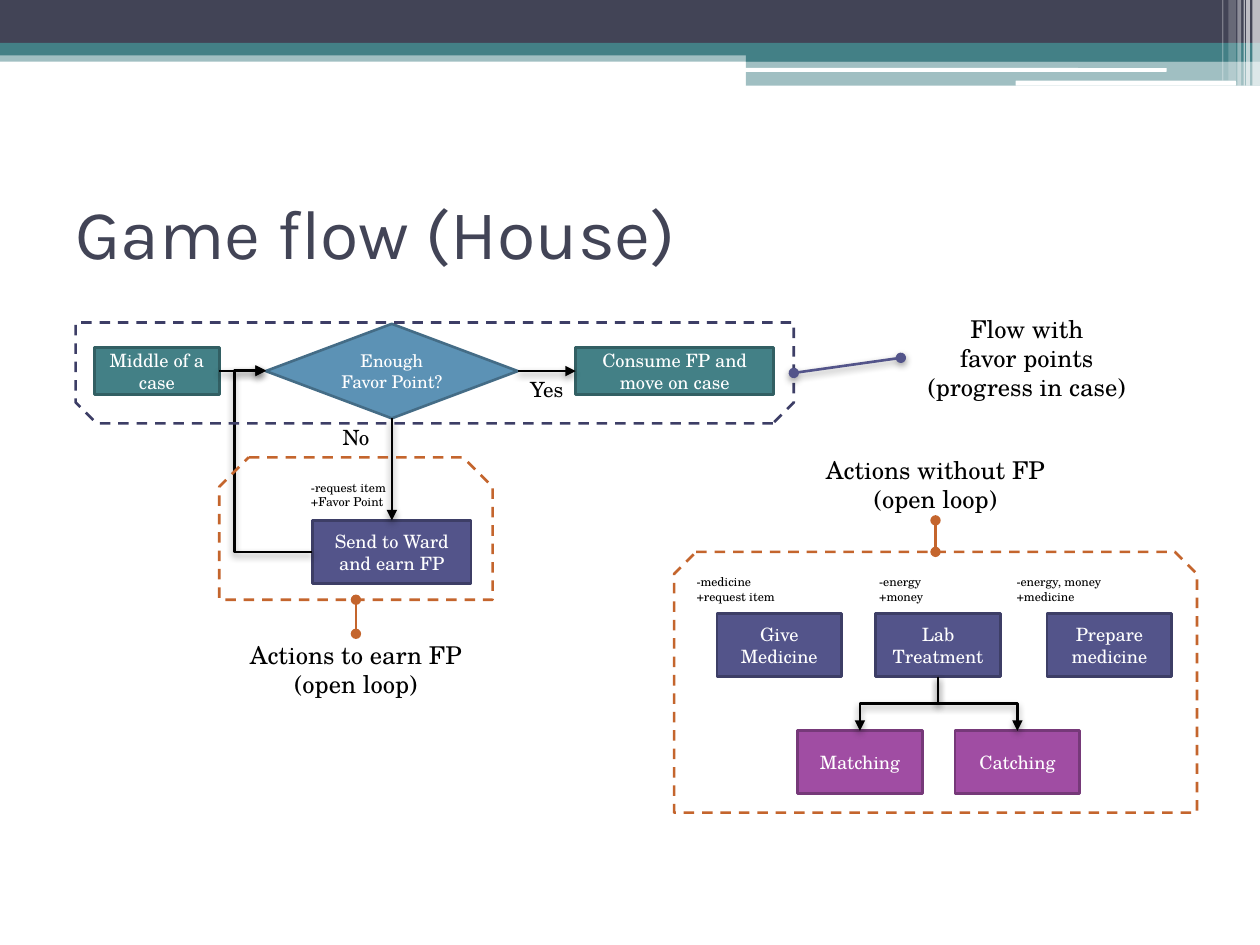
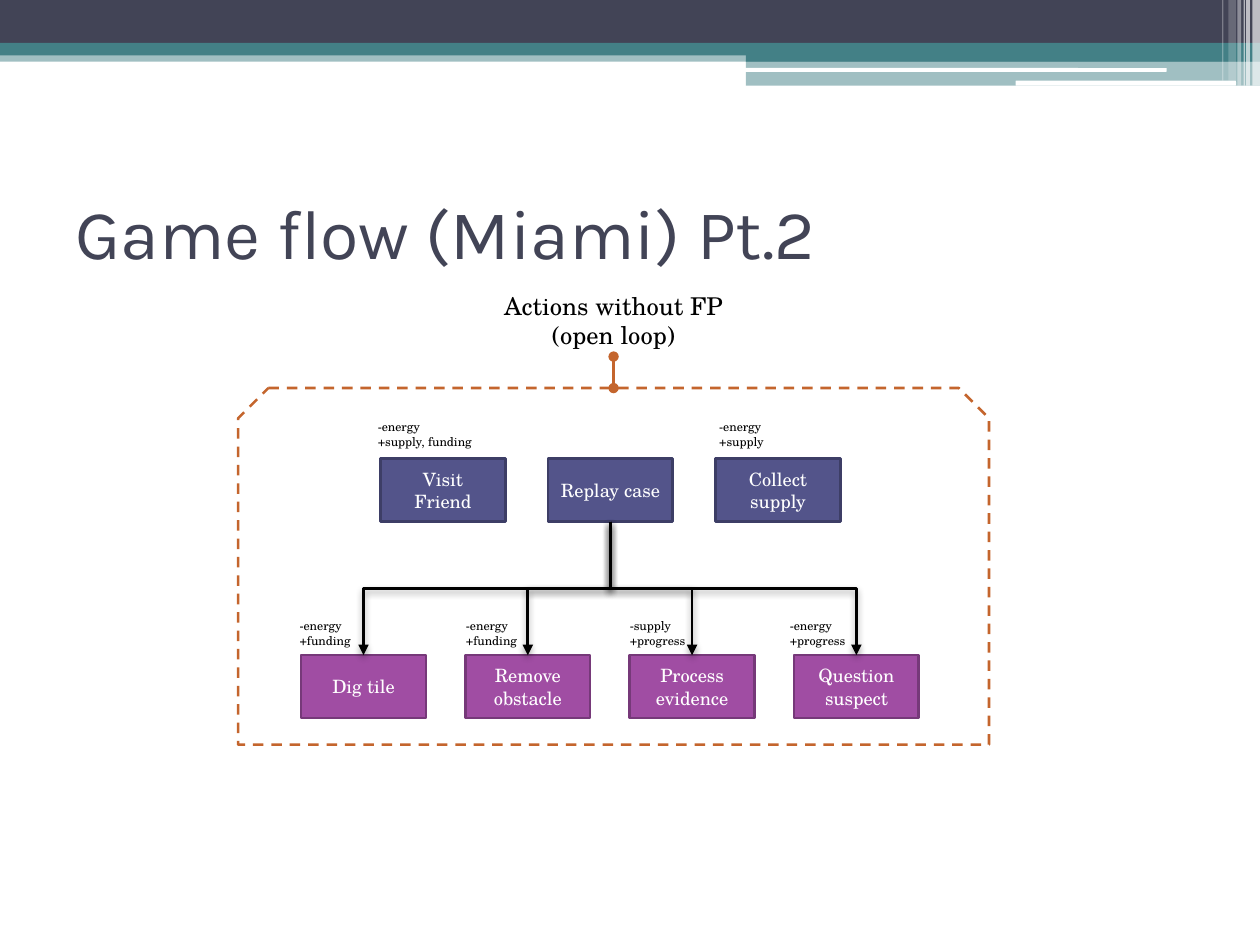
from lxml.etree import SubElement
from pptx import Presentation
from pptx.dml.color import RGBColor
from pptx.enum.dml import MSO_LINE
from pptx.enum.shapes import MSO_CONNECTOR as LINK, MSO_SHAPE as SHAPE
from pptx.enum.text import MSO_ANCHOR as ANCHOR, PP_ALIGN as ALIGN
from pptx.oxml.ns import qn
from pptx.util import Inches, Pt

NAVY = RGBColor(0x42, 0x44, 0x56)
TEAL = RGBColor(0x43, 0x80, 0x86)
TEAL_EDGE = RGBColor(0x32, 0x5F, 0x63)
BLUE = RGBColor(0x5C, 0x92, 0xB5)
BLUE_EDGE = RGBColor(0x44, 0x6C, 0x86)
INDIGO = RGBColor(0x53, 0x54, 0x8A)
INDIGO_EDGE = RGBColor(0x3D, 0x3E, 0x66)
PURPLE = RGBColor(0xA0, 0x4D, 0xA3)
PURPLE_EDGE = RGBColor(0x76, 0x39, 0x79)
ORANGE = RGBColor(0xC4, 0x65, 0x2D)
WHITE = RGBColor(0xFF, 0xFF, 0xFF)
BLACK = RGBColor(0, 0, 0)

HEADING_FONT = "Karla"
BODY_FONT = "TeX Gyre Schola"
CARD_WIDTH, CARD_HEIGHT = 0.99, 0.5
STAGE = {"fill": TEAL, "edge": TEAL_EDGE}
DECISION = {"fill": BLUE, "edge": BLUE_EDGE, "kind": SHAPE.FLOWCHART_DECISION, "size": 10}
ACTION = {"fill": INDIGO, "edge": INDIGO_EDGE}
ACTIVITY = {"fill": PURPLE, "edge": PURPLE_EDGE}

BANDS = [
    (0, 0.4, 10, 0.09, TEAL, 50),
    (0, 0, 10, 0.34, NAVY, 100),
    (0, 0.34, 10, 0.1, TEAL, 100),
    (5.92, 0.39, 4.08, 0.1, TEAL, 100),
    (5.92, 0.48, 4.08, 0.2, TEAL, 50),
    (5.91, 0.54, 3.35, 0.03, WHITE, 100),
    (8.06, 0.64, 1.75, 0.04, WHITE, 100),
    (9.94, 0, 0.06, 0.68, WHITE, 65),
    (9.89, 0, 0.03, 0.68, WHITE, 65),
    (9.87, 0, 0.01, 0.68, WHITE, 60),
    (9.82, 0, 0.03, 0.68, WHITE, 40),
    (9.75, 0, 0.06, 0.64, WHITE, 20),
    (9.7, 0, 0.01, 0.64, WHITE, 30),
]


def inches(*lengths):
    """Convert numbers to lengths."""
    return [Inches(length) for length in lengths]


def write(frame, text, size, color, align, font=BODY_FONT):
    """Fill a text frame, one paragraph for each line."""
    frame.word_wrap = True
    frame.text = text
    for para in frame.paragraphs:
        para.alignment = align
        for span in para.runs:
            for name, value in {"name": font, "size": Pt(size)}.items():
                setattr(span.font, name, value)
            span.font.color.rgb = color


def add_label(page, text, left, top, width, height, size, align=ALIGN.LEFT):
    """Add plain black text."""
    box = page.shapes.add_textbox(*inches(left, top, width, height))
    write(box.text_frame, text, size, BLACK, align)


def add_note(page, text, left, top):
    """Add the small costs and gains of an action."""
    add_label(page, text, left, top, 1, 0.34, 7)


def add_node(page, text, left, top, fill, edge, width=CARD_WIDTH,
             height=CARD_HEIGHT, kind=SHAPE.RECTANGLE, size=10.5):
    """Add a filled flow chart node."""
    node = page.shapes.add_shape(kind, *inches(left, top, width, height))
    node.shadow.inherit = False
    node.fill.solid()
    node.fill.fore_color.rgb = fill
    node.line.color.rgb = edge
    node.line.width = Pt(1.5)
    node.text_frame.vertical_anchor = ANCHOR.MIDDLE
    write(node.text_frame, text, size, WHITE, ALIGN.CENTER)
    return node


def add_frame(page, left, top, width, height, color, snip, rotation=0):
    """Add a dashed outline with two cut corners."""
    frame = page.shapes.add_shape(SHAPE.SNIP_2_SAME_RECTANGLE,
                                  *inches(left, top, width, height))
    frame.shadow.inherit = False
    frame.fill.background()
    frame.line.color.rgb = color
    frame.line.width = Pt(1.5)
    frame.line.dash_style = MSO_LINE.DASH
    frame.adjustments[0], frame.adjustments[1] = snip, 0
    frame.rotation = rotation


def add_link(page, start, end, kind=LINK.STRAIGHT, color=BLACK, head=None,
             tail="triangle", shadow=True):
    """Add a connector with line ends and, if wanted, a soft shadow."""
    link = page.shapes.add_connector(kind, *inches(*start, *end))
    link.line.color.rgb = color
    link.line.width = Pt(1.5)
    for tag, mark in (("a:headEnd", head), ("a:tailEnd", tail)):
        if mark:
            SubElement(link.line._get_or_add_ln(), qn(tag), type=mark)
    effects = SubElement(link.element.spPr, qn("a:effectLst"))
    if shadow:
        cast = SubElement(effects, qn("a:outerShdw"), blurRad=str(Pt(4.1)),
                          dist=str(Pt(2)), dir="5400000", rotWithShape="0")
        tint = SubElement(cast, qn("a:srgbClr"), val=str(BLACK))
        SubElement(tint, qn("a:alpha"), val="40000")
    return link


def join(page, start, start_side, end, end_side):
    """Join two nodes with a straight arrow."""
    link = add_link(page, (0, 0), (1, 1))
    link.begin_connect(start, start_side)
    link.end_connect(end, end_side)


def add_branch(page, start, end):
    """Add an elbow arrow that goes down, across and down."""
    across, drop = end[0] - start[0], end[1] - start[1]
    left = (start[0] + end[0] - drop) / 2
    top = (start[1] + end[1] - abs(across)) / 2
    link = add_link(page, (left, top), (left + drop, top + abs(across)), LINK.ELBOW)
    xfrm = link.element.spPr.find(qn("a:xfrm"))
    xfrm.set("rot", "16200000" if across > 0 else "5400000")
    if across > 0:
        xfrm.set("flipH", "1")


def add_return(page, start, end, turn):
    """Add an elbow arrow that turns back at a given x."""
    link = add_link(page, end, start, LINK.ELBOW)
    link.element.spPr.find(qn("a:xfrm")).set("rot", "10800000")
    geometry = link.element.spPr.find(qn("a:prstGeom"))
    guides = geometry.find(qn("a:avLst"))
    if guides is None:
        guides = SubElement(geometry, qn("a:avLst"))
    bend = round((start[0] - turn) / (start[0] - end[0]) * 100000)
    SubElement(guides, qn("a:gd"), name="adj1", fmla=f"val {bend}")


def add_open_loop(page, caption, left, top, width, height, snip, below=False):
    """Frame an open loop and tie its caption to the frame."""
    add_frame(page, left, top, width, height, ORANGE, snip)
    middle = left + width / 2
    edge = top + height if below else top
    tip = edge + 0.27 if below else edge - 0.25
    add_link(page, (middle, edge), (middle, tip), color=ORANGE,
             head="oval", tail="oval", shadow=False)
    add_label(page, caption, middle - 1.29, tip if below else tip - 0.57,
              2.58, 0.57, 14, ALIGN.CENTER)


def add_branches(page, parent_left, parent_top, children, child_top):
    """Link one card to each card in the row below."""
    start = (parent_left + CARD_WIDTH / 2, parent_top + CARD_HEIGHT)
    for left in children:
        add_branch(page, start, (left + CARD_WIDTH / 2, child_top))


def add_bands(deck, page):
    """Draw the header bands and move them to the master."""
    tree = deck.slide_master.element.find(".//" + qn("p:spTree"))
    for index, (left, top, width, height, color, opacity) in enumerate(BANDS):
        kind = SHAPE.ROUNDED_RECTANGLE if height < 0.05 else SHAPE.RECTANGLE
        band = page.shapes.add_shape(kind, *inches(left, top, width, height))
        band.shadow.inherit = False
        band.fill.solid()
        band.fill.fore_color.rgb = color
        band.line.fill.background()
        if opacity < 100:
            tint = band.element.spPr.find(".//" + qn("a:srgbClr"))
            SubElement(tint, qn("a:alpha"), val=str(opacity * 1000))
        band.element.nvSpPr.cNvPr.set("id", str(100 + index))
        tree.insert(2 + index, band.element)


def add_page(deck, layout, heading):
    """Add a titled slide."""
    page = deck.slides.add_slide(layout)
    title = page.shapes.title
    write(title.text_frame, heading, 40, NAVY, ALIGN.LEFT, HEADING_FONT)
    title.text_frame.vertical_anchor = ANCHOR.MIDDLE
    return page


def add_case_flow(page, left, top):
    """Draw the favor point flow and its path through the ward."""
    middle = top + 0.38
    case = add_node(page, "Middle of a case", left + 0.15, top + 0.2, height=0.37, **STAGE)
    check = add_node(page, "Enough Favor Point?", left + 1.51, top + 0.01,
                     width=2, height=0.75, **DECISION)
    consume = add_node(page, "Consume FP and move on case", left + 3.97, top + 0.2,
                       width=1.57, height=0.37, **STAGE)
    ward = add_node(page, "Send to Ward and earn FP", left + 1.88, top + 1.57,
                    width=1.26, **ACTION)
    join(page, case, 3, check, 1)
    join(page, check, 3, consume, 1)
    join(page, check, 2, ward, 0)
    add_return(page, (left + 1.88, top + 1.82), (left + 1.51, middle), left + 1.26)
    add_frame(page, left, top, 5.7, 0.8, INDIGO_EDGE, 0.208, 180)
    add_label(page, "No", left + 2.02, top + 0.76, 0.49, 0.3, 12)
    add_label(page, "Yes", left + 3.51, middle, 0.49, 0.3, 12)
    add_link(page, (left + 5.7, top + 0.4), (left + 6.55, top + 0.28),
             color=INDIGO, head="oval", tail="oval")
    add_label(page, "Flow with\nfavor points\n(progress in case)",
              left + 6.55, top - 0.12, 2, 0.81, 14, ALIGN.CENTER)
    add_note(page, "-request item\n+Favor Point", left + 1.77, top + 1.2)
    add_open_loop(page, "Actions to earn FP\n(open loop)", left + 1.14, top + 1.07,
                  2.17, 1.13, 0.208, below=True)


def add_house_actions(page, left, top):
    """Draw the open loop of actions in the house game."""
    add_open_loop(page, "Actions without FP\n(open loop)", left, top, 4.15, 2.07, 0.085)
    actions = [
        ("Give Medicine", 0.34, "-medicine\n+request item", 0.08),
        ("Lab Treatment", 1.6, "-energy\n+money", 1.53),
        ("Prepare\nmedicine", 2.96, "-energy, money\n+medicine", 2.62),
    ]
    for text, card_x, note, note_x in actions:
        add_node(page, text, left + card_x, top + 0.49, **ACTION)
        add_note(page, note, left + note_x, top + 0.13)
    lefts = [left + 0.98 + 1.25 * column for column in range(2)]
    for text, card_left in zip(("Matching", "Catching"), lefts):
        add_node(page, text, card_left, top + 1.42, **ACTIVITY)
    add_branches(page, left + 1.6, top + 0.49, lefts, top + 1.42)


def add_miami_actions(page, left, top):
    """Draw the open loop of actions in the Miami game."""
    add_open_loop(page, "Actions without FP\n(open loop)", left, top, 5.96, 2.83, 0.085)
    for column, text in enumerate(("Visit Friend", "Replay case", "Collect supply")):
        add_node(page, text, left + 1.13 + 1.33 * column, top + 0.56, **ACTION)
    add_note(page, "-energy\n+supply, funding", left + 1.01, top + 0.2)
    add_note(page, "-energy\n+supply", left + 3.72, top + 0.2)
    activities = [
        ("Dig tile", "-energy\n+funding", 0.39),
        ("Remove\nobstacle", "-energy\n+funding", 1.71),
        ("Process evidence", "-supply\n+progress", 3.01),
        ("Question suspect", "-energy\n+progress", 4.28),
    ]
    lefts = [left + 0.5 + 1.304 * column for column in range(len(activities))]
    for (text, note, note_x), card_left in zip(activities, lefts):
        add_node(page, text, card_left, top + 2.12, **ACTIVITY)
        add_note(page, note, left + note_x, top + 1.78)
    add_branches(page, left + 2.46, top + 0.56, lefts, top + 2.12)


def main():
    """Build and save the deck."""
    deck = Presentation()
    deck.slide_width, deck.slide_height = inches(10, 7.5)
    layout = deck.slide_layouts[5]
    place = dict(zip(("left", "top", "width", "height"), inches(0.5, 1.25, 9, 1.17)))
    for name, value in place.items():
        setattr(layout.placeholders[0], name, value)
    house = add_page(deck, layout, "Game flow (House)")
    add_bands(deck, house)
    add_case_flow(house, 0.6, 2.56)
    add_house_actions(house, 5.35, 4.38)
    miami = add_page(deck, layout, "Game flow (Miami) Pt.2")
    add_miami_actions(miami, 1.89, 3.08)
    deck.save("out.pptx")


if __name__ == "__main__":
    main()
